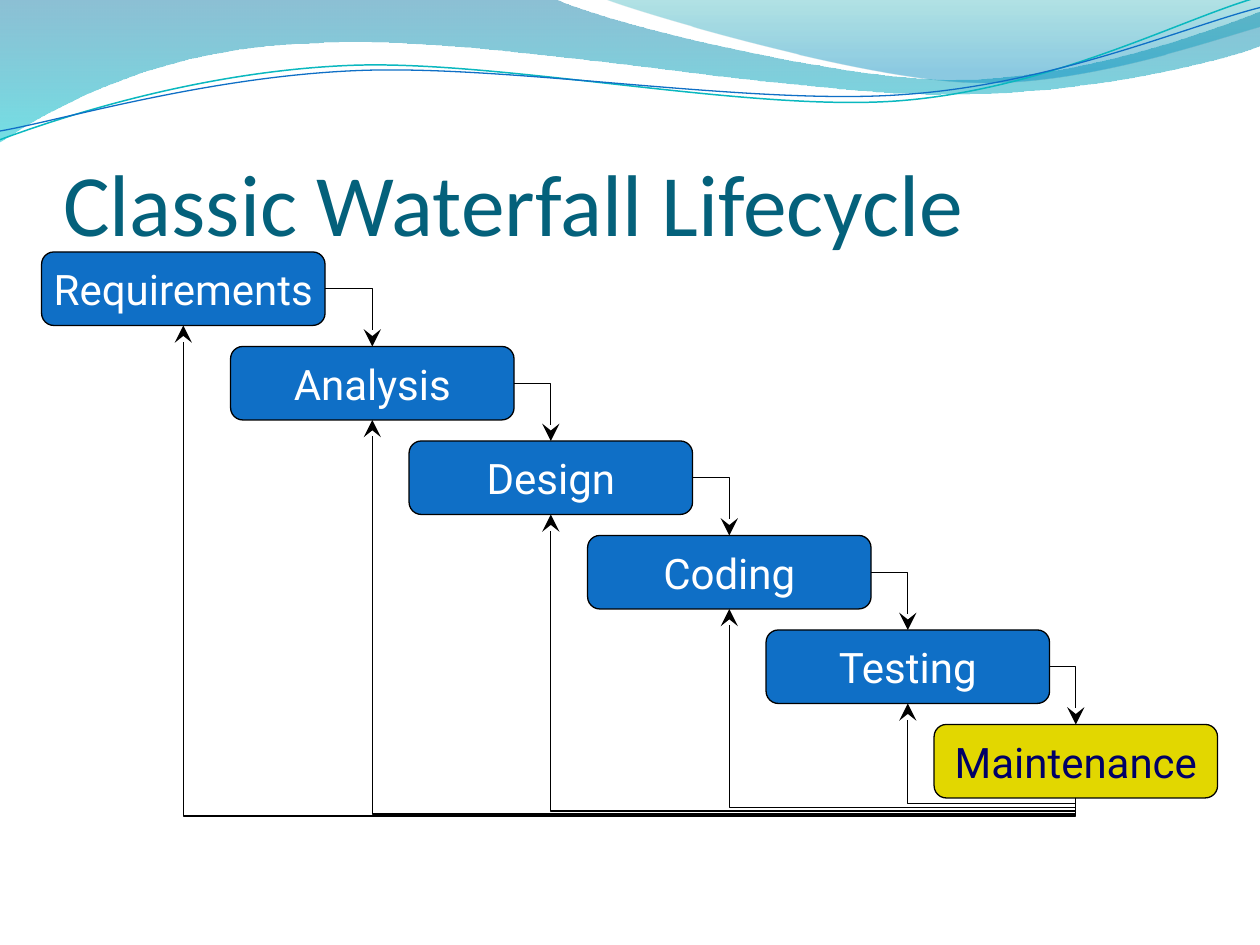
from dataclasses import dataclass

from lxml.etree import SubElement
from pptx import Presentation
from pptx.dml.color import RGBColor
from pptx.enum.shapes import MSO_CONNECTOR, MSO_SHAPE
from pptx.enum.text import MSO_ANCHOR, PP_ALIGN
from pptx.oxml.ns import qn
from pptx.shapes.autoshape import Shape
from pptx.shapes.connector import Connector
from pptx.shapes.shapetree import SlideShapes
from pptx.util import Pt

BLACK = RGBColor(0x00, 0x00, 0x00)
WHITE = RGBColor(0xFF, 0xFF, 0xFF)
BLUE = RGBColor(0x0F, 0x6F, 0xC6)
YELLOW = RGBColor(0xE2, 0xD7, 0x00)
NAVY = RGBColor(0x00, 0x00, 0x66)
TEAL = RGBColor(0x04, 0x61, 0x7B)
AQUA = RGBColor(0x0A, 0xB8, 0xBF)
BAND_BLUE = RGBColor(0x00, 0x74, 0xA1)
BAND_CYAN = RGBColor(0x00, 0xC6, 0xCF)
CREST_GREEN = RGBColor(0x00, 0xA1, 0xA9)
CREST_BLUE = RGBColor(0x00, 0x8B, 0xBF)

STAGE_WIDTH, STAGE_HEIGHT = 162, 42
FIRST_TOP, STEP_DOWN = 144, 54
TOP, BOTTOM, RIGHT = 0, 2, 3
LINE_TILT = 357.3

Point = tuple[float, float]


@dataclass
class Stage:
    name: str
    left: float
    feedback_bend: float = 0  # drop below the last stage, as a share of the rise
    fill: RGBColor = BLUE
    color: RGBColor = WHITE


@dataclass
class GradientStop:
    position: float
    color: RGBColor
    opacity: int  # percent


@dataclass
class Wave:
    """A path whose segments have one point (straight) or three (Bézier)."""
    start: Point
    segments: list[tuple[Point, ...]]
    gradient: tuple[GradientStop, ...] = ()
    line: RGBColor | None = None
    line_width: float = 0


STAGES = [
    Stage("Requirements", 23.75, -0.038),
    Stage("Analysis", 131.75, -0.043),
    Stage("Design", 233.75, -0.046),
    Stage("Coding", 335.75, -0.05),
    Stage("Testing", 437.75, -0.062),
    Stage("Maintenance", 533.75, fill=YELLOW, color=NAVY),
]

WAVES = [
    Wave((0, 0), [
        ((316.8, -0.7),),
        ((342.7, 12.2), (478.1, 45.4), (545.8, 45.4)),
        ((614.2, 45.4), (689.8, 18.7), (720, 6.5)),
        ((720.7, 25.9),),
        ((707.8, 31.7), (626.4, 54.7), (537.1, 54)),
        ((447.8, 54), (275, 20.2), (185, 24.5)),
        ((92.9, 25.9), (33.1, 59.8), (-0.7, 81.4)),
    ], gradient=(GradientStop(0, BAND_BLUE, 45), GradientStop(1, BAND_CYAN, 55))),
    Wave((344.9, -0.7), [
        ((366.5, 7.9), (491, 44.6), (553.7, 46.8)),
        ((616.3, 49.7), (691.9, 23), (720, 15.1)),
        ((720, 0),),
    ], gradient=(GradientStop(0, CREST_GREEN, 30), GradientStop(0.8, CREST_BLUE, 45))),
    Wave((-1.4, 62.9), [
        ((33.8, 51.7), (114.1, 29.4), (199.8, 29.9)),
        ((284.9, 30.3), (425.8, 67.3), (512.4, 64.9)),
        ((599, 62.4), (676.4, 25.7), (720.2, 15.5)),
    ], line=AQUA, line_width=0.85),
    Wave((-1.1, 57.9), [
        ((32.9, 53.7), (118.3, 32.5), (204.1, 33)),
        ((290.6, 33.4), (428.9, 63.8), (515.5, 61.4)),
        ((601.3, 59.6), (678.4, 30.1), (721.4, 21.3)),
    ], line=BLUE, line_width=0.75),
]


def build_curves(shapes: SlideShapes, wave: Wave) -> Shape:
    """Build the outline through all points, then join each three into a Bézier."""
    builder = shapes.build_freeform(*map(Pt, wave.start))
    corners = [(Pt(x), Pt(y)) for segment in wave.segments for x, y in segment]
    builder.add_line_segments(corners, close=bool(wave.gradient))
    shape = builder.convert_to_shape()
    straights = iter(list(shape._element.spPr.iter(qn("a:lnTo"))))
    for segment in wave.segments:
        parts = [next(straights) for _ in segment]
        if len(parts) == 3:
            curve = parts[0].makeelement(qn("a:cubicBezTo"))
            parts[0].addprevious(curve)
            for part in parts:
                curve.append(part[0])
                part.getparent().remove(part)
    return shape


def draw_wave(shapes: SlideShapes, wave: Wave) -> None:
    shape = build_curves(shapes, wave)
    shape.shadow.inherit = False
    if wave.line is None:
        shape.line.fill.background()
        shape.fill.gradient()
        shape.fill.gradient_angle = 270
        for stop, wanted in zip(shape.fill.gradient_stops, wave.gradient):
            stop.position = wanted.position
            stop.color.rgb = wanted.color
        for color, wanted in zip(shape._element.spPr.iter(qn("a:srgbClr")), wave.gradient):
            SubElement(color, qn("a:alpha")).set("val", str(wanted.opacity * 1000))
    else:
        shape.fill.background()
        shape.line.color.rgb = wave.line
        shape.line.width = Pt(wave.line_width)
        shape.rotation = LINE_TILT


def draw_title(shapes: SlideShapes, text: str) -> None:
    title = shapes.title
    title.left, title.top, title.width, title.height = Pt(36), Pt(55.25), Pt(648), Pt(90)
    frame = title.text_frame
    frame.text = text
    frame.vertical_anchor = MSO_ANCHOR.BOTTOM
    frame.margin_left = frame.margin_right = frame.margin_bottom = 0
    frame.margin_top = Pt(3.6)
    paragraph = frame.paragraphs[0]
    paragraph.alignment = PP_ALIGN.LEFT
    font = paragraph.runs[0].font
    font.name, font.size, font.color.rgb = "Calibri", Pt(50), TEAL
    shapes._spTree.append(title._element)  # in front of the waves


def draw_stage(shapes: SlideShapes, stage: Stage, top: float) -> Shape:
    box = shapes.add_shape(MSO_SHAPE.ROUNDED_RECTANGLE, Pt(stage.left), Pt(top),
                           Pt(STAGE_WIDTH), Pt(STAGE_HEIGHT))
    box.shadow.inherit = False
    box.fill.solid()
    box.fill.fore_color.rgb = stage.fill
    box.line.color.rgb = BLACK
    box.line.width = Pt(0.75)
    frame = box.text_frame
    frame.text = stage.name
    frame.word_wrap = False
    frame.vertical_anchor = MSO_ANCHOR.MIDDLE
    frame.paragraphs[0].alignment = PP_ALIGN.CENTER
    font = frame.paragraphs[0].runs[0].font
    font.name, font.size, font.color.rgb = "Roboto", Pt(24), stage.color
    return box


def add_arrow(shapes: SlideShapes, source: Shape, source_side: int,
              target: Shape, target_side: int) -> Connector:
    arrow = shapes.add_connector(MSO_CONNECTOR.ELBOW, 0, 0, 0, 0)
    arrow.begin_connect(source, source_side)
    arrow.end_connect(target, target_side)
    arrow.line.color.rgb = BLACK
    arrow.line.width = Pt(0.75)
    head = SubElement(arrow.line._get_or_add_ln(), qn("a:tailEnd"))
    for key, value in (("type", "stealth"), ("w", "lg"), ("len", "lg")):
        head.set(key, value)
    SubElement(arrow._element.spPr, qn("a:effectLst"))
    return arrow


def draw_forward_arrow(shapes: SlideShapes, source: Shape, target: Shape) -> None:
    arrow = add_arrow(shapes, source, RIGHT, target, TOP)
    arrow._element.spPr.find(qn("a:prstGeom")).set("prst", "bentConnector2")


def draw_feedback_arrow(shapes: SlideShapes, source: Shape, target: Shape, bend: float) -> None:
    """Lead down out of source, left, and up into target: a quarter-turned elbow."""
    arrow = add_arrow(shapes, source, BOTTOM, target, BOTTOM)
    run, rise = arrow.width, arrow.height
    arrow.left += (run - rise) // 2
    arrow.top += (rise - run) // 2
    arrow.width, arrow.height = rise, run
    frame = arrow._element.spPr.find(qn("a:xfrm"))
    for key, value in (("rot", "16200000"), ("flipH", "0"), ("flipV", "1")):
        frame.set(key, value)
    guides = arrow._element.spPr.find(qn("a:prstGeom")).find(qn("a:avLst"))
    guide = SubElement(guides, qn("a:gd"))
    guide.set("name", "adj1")
    guide.set("fmla", f"val {round(bend * 100000)}")


def main() -> None:
    deck = Presentation()
    deck.slide_width, deck.slide_height = Pt(720), Pt(540)
    shapes = deck.slides.add_slide(deck.slide_layouts[5]).shapes
    for wave in WAVES:
        draw_wave(shapes, wave)
    draw_title(shapes, "Classic Waterfall Lifecycle")
    boxes = [draw_stage(shapes, stage, FIRST_TOP + i * STEP_DOWN)
             for i, stage in enumerate(STAGES)]
    for source, target in zip(boxes, boxes[1:]):
        draw_forward_arrow(shapes, source, target)
    for stage, box in reversed(list(zip(STAGES[:-1], boxes))):
        draw_feedback_arrow(shapes, boxes[-1], box, stage.feedback_bend)
    deck.save("out.pptx")


if __name__ == "__main__":
    main()
